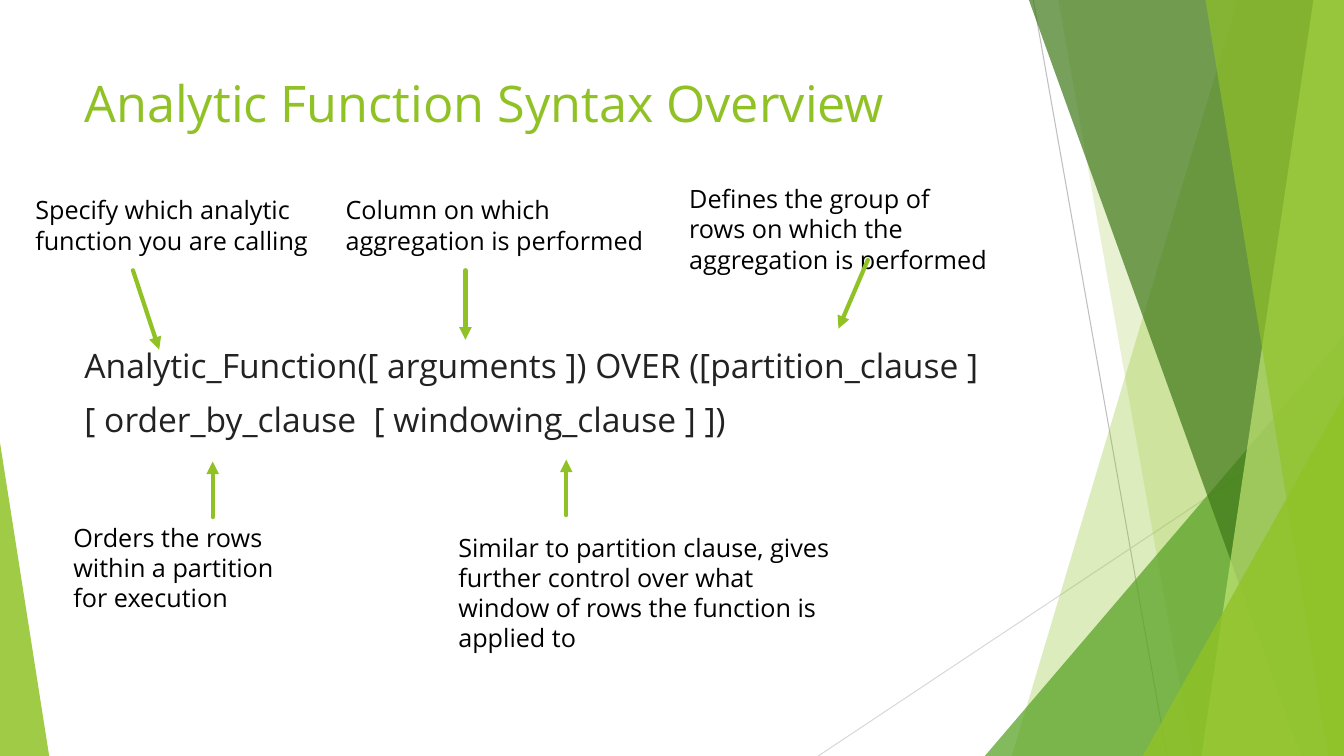
import lxml.etree
import pptx
import pptx.dml.color
import pptx.enum.shapes
import pptx.enum.text
import pptx.oxml.ns
import pptx.util

Cm = pptx.util.Cm
FONT = "Open Sans"
WIDE, HIGH = 33.87, 19.05
HUES = {
    "lime": "90C226", "green": "54A021", "dark": "3F7819", "pale": "C0E474",
    "ink": "222222", "black": "000000", "grey": "BFBFBF", "light": "D9D9D9",
}

TITLE = "Analytic Function Syntax Overview"
SYNTAX = [
    "Analytic_Function([ arguments ]) OVER ([partition_clause ]",
    "[ order_by_clause  [ windowing_clause ] ])",
]
# text, box (left, top, width, height), arrow (from x, from y, to x, to y)
NOTES = [
    ("Specify which analytic function you are calling",
     (0.64, 4.78, 7.47, 1.8), (3.35, 6.81, 4.01, 8.81)),
    ("Orders the rows within a partition for execution",
     (1.6, 13.03, 6.5, 2.57), (5.36, 13.03, 5.36, 11.63)),
    ("Column on which aggregation is performed",
     (8.46, 4.78, 8.03, 1.8), (11.73, 6.81, 11.73, 8.56)),
    ("Defines the group of rows on which the aggregation is performed",
     (17.12, 4.5, 8.03, 2.57), (21.87, 6.55, 21.13, 8.28)),
    ("Similar to partition clause, gives further control over what "
     "window of rows the function is applied to",
     (11.3, 13.28, 10.39, 2.57), (14.27, 12.98, 14.27, 11.58)),
]
RAYS = [
    ((26.04, 0, 29.41, HIGH), "grey"),
    ((WIDE, 10.24, 20.62, HIGH), "light"),
]
# pane: left edge at top, left edge at foot; wedge: left, right, top, apex
DECOR = [
    ("pane", (31.19, 25.5), "lime", 30),
    ("pane", (26.67, 30.05), "lime", 20),
    ("wedge", (24.82, WIDE, 8.46, 1), "green", 72),
    ("pane", (25.93, 32.79), "dark", 70),
    ("pane", (33.1, 30.28), "pale", 70),
    ("pane", (30.38, 33.48), "lime", 65),
    ("wedge", (28.8, WIDE, 9.98, 1), "lime", 80),
    ("wedge", (0, 1.24, 11.15, 0), "lime", 85),
]


def hue(name):
    return pptx.dml.color.RGBColor.from_string(HUES[name])


def add(node, tag, **attrs):
    return lxml.etree.SubElement(node, pptx.oxml.ns.qn(tag), attrs)


def paint(shape, color, alpha):
    """Fill a shape without outline or shadow; alpha is percent opaque."""
    shape.shadow.inherit = False
    shape.line.fill.background()
    shape.fill.solid()
    shape.fill.fore_color.rgb = hue(color)
    tint = shape.fill._xPr.find(".//" + pptx.oxml.ns.qn("a:srgbClr"))
    add(tint, "a:alpha", val=str(alpha * 1000))


def pane(slide, top, foot):
    """Add a full-height pane running from a slanted edge to the right side."""
    start, *rest = [(Cm(x), Cm(y)) for x, y in
                    [(top, 0), (WIDE, 0), (WIDE, HIGH), (foot, HIGH)]]
    form = slide.shapes.build_freeform(*start)
    form.add_line_segments(rest, close=True)
    return form.convert_to_shape()


def wedge(slide, left, right, top, apex):
    """Add a right triangle that stands on the slide's lower edge."""
    shape = slide.shapes.add_shape(
        pptx.enum.shapes.MSO_SHAPE.ISOSCELES_TRIANGLE,
        Cm(left), Cm(top), Cm(right - left), Cm(HIGH - top))
    shape.adjustments[0] = apex
    return shape


def line(slide, ends, color, width, arrow=False):
    link = slide.shapes.add_connector(
        pptx.enum.shapes.MSO_CONNECTOR.STRAIGHT, *map(Cm, ends))
    link.line.color.rgb = hue(color)
    link.line.width = pptx.util.Pt(width)
    if arrow:
        stroke = link.line._get_or_add_ln()
        stroke.set("cap", "rnd")
        add(stroke, "a:tailEnd", type="triangle")
    add(link._element.spPr, "a:effectLst")


def write(slide, box, lines, size=18, color="black", gap=0, grow=False):
    frame = slide.shapes.add_textbox(*map(Cm, box)).text_frame
    frame.word_wrap = True
    if grow:
        frame.auto_size = pptx.enum.text.MSO_AUTO_SIZE.SHAPE_TO_FIT_TEXT
    for i, text in enumerate(lines):
        para = frame.add_paragraph() if i else frame.paragraphs[0]
        if i:
            para.space_before = pptx.util.Pt(gap)
        run = para.add_run()
        run.text = text
        run.font.name = FONT
        run.font.size = pptx.util.Pt(size)
        run.font.color.rgb = hue(color)


def main():
    deck = pptx.Presentation()
    deck.slide_width, deck.slide_height = Cm(WIDE), Cm(HIGH)
    slide = deck.slides.add_slide(deck.slide_layouts[6])

    for ends, color in RAYS:
        line(slide, ends, color, 0.75)
    draw = {"pane": pane, "wedge": wedge}
    for kind, place, color, alpha in DECOR:
        paint(draw[kind](slide, *place), color, alpha)

    write(slide, (1.88, 1.7, 23.88, 3.66), [TITLE], size=36, color="lime")
    write(slide, (1.88, 8.56, 24.82, 3.94), SYNTAX, size=24, color="ink", gap=10)
    for text, box, ends in NOTES:
        write(slide, box, [text], grow=True)
        line(slide, ends, "lime", 3, arrow=True)

    deck.save("out.pptx")


if __name__ == "__main__":
    main()
